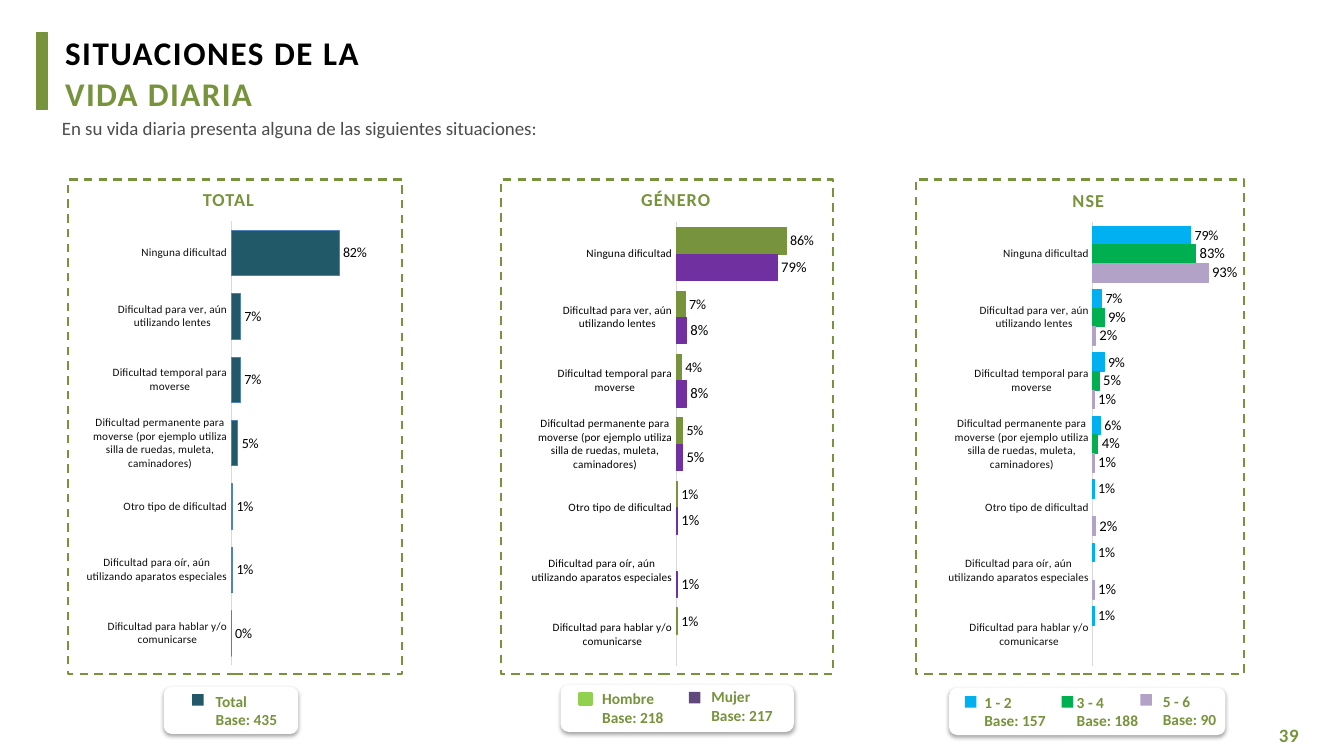
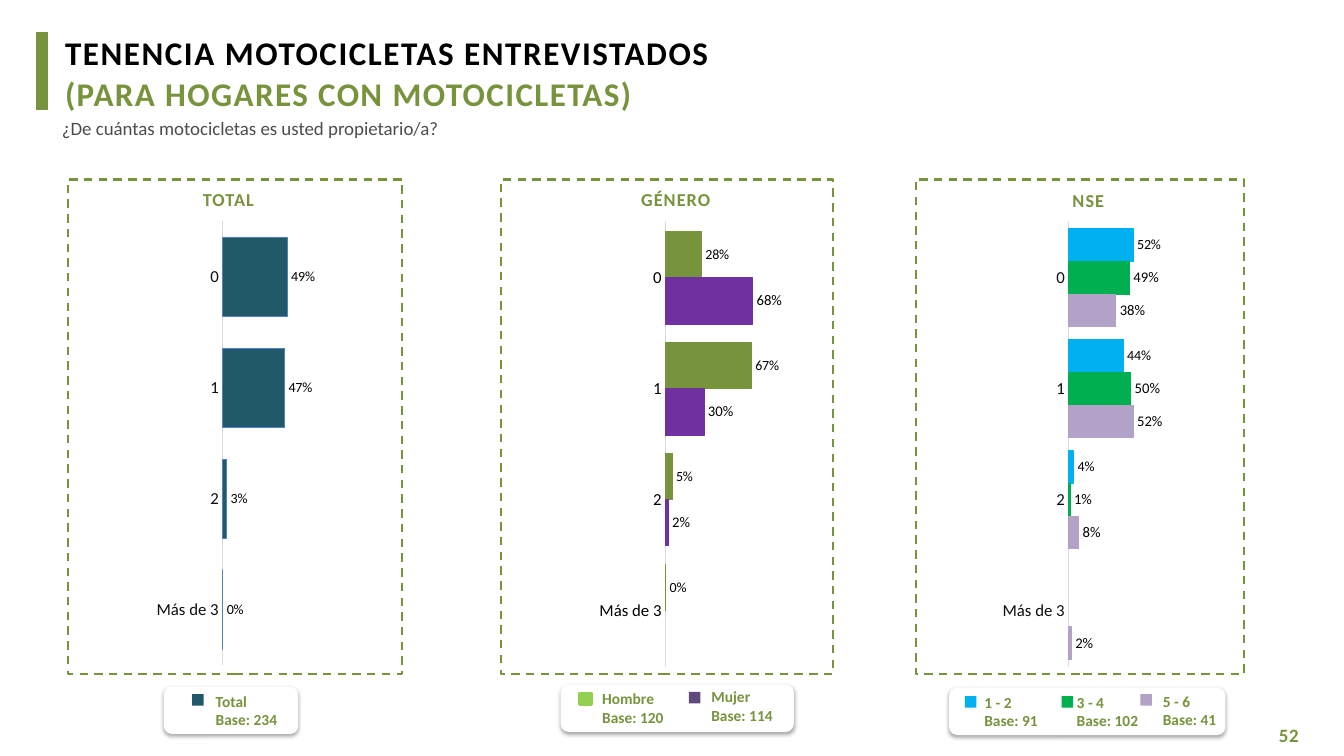
from dataclasses import dataclass
from typing import Optional

from lxml import etree
from pptx import Presentation
from pptx.chart.data import CategoryChartData
from pptx.dml.color import RGBColor
from pptx.enum.chart import XL_CHART_TYPE, XL_LABEL_POSITION, XL_TICK_MARK
from pptx.enum.dml import MSO_LINE
from pptx.enum.shapes import MSO_SHAPE
from pptx.enum.text import MSO_ANCHOR, MSO_AUTO_SIZE, PP_ALIGN
from pptx.oxml.ns import qn
from pptx.util import Emu, Pt

RECTANGLE = MSO_SHAPE.RECTANGLE
ROUNDED = MSO_SHAPE.ROUNDED_RECTANGLE
BAR_CLUSTERED = XL_CHART_TYPE.BAR_CLUSTERED
OUTSIDE_END = XL_LABEL_POSITION.OUTSIDE_END
NO_TICK = XL_TICK_MARK.NONE
DASH = MSO_LINE.DASH
LEFT, CENTER = PP_ALIGN.LEFT, PP_ALIGN.CENTER
TOP = MSO_ANCHOR.TOP
NO_AUTOFIT = MSO_AUTO_SIZE.NONE
EMU_PER_PX = 9525
TITLE_ONLY_LAYOUT = 5
PERCENT = "###0%"


@dataclass(frozen=True)
class Theme:
    font: str = "Calibri"
    green: str = "77933C"
    black: str = "000000"
    tick_text: str = "0D0D0D"
    gray: str = "4D4D4D"
    axis: str = "D9D9D9"
    white: str = "FFFFFF"
    teal: str = "215968"
    blue_outline: str = "4F81BD"
    lime: str = "92D050"
    violet: str = "604A7B"
    purple: str = "7030A0"
    sky: str = "00B0F0"
    emerald: str = "00B050"
    lilac: str = "B3A2C7"
    title_size: float = 23.6
    body_size: float = 13.5
    heading_size: float = 13
    legend_size: float = 11
    first_label_size: float = 10
    label_size: float = 10.5


THEME = Theme()


@dataclass(frozen=True)
class Box:
    """A rectangle in whole px."""
    left: int
    top: int
    width: int
    height: int

    def emu(self) -> tuple[Emu, ...]:
        return tuple(Emu(value * EMU_PER_PX)
                     for value in (self.left, self.top, self.width, self.height))


@dataclass(frozen=True)
class TextStyle:
    size: float
    color: str
    bold: bool = False
    spacing: int = 0  # hundredths of a point


@dataclass(frozen=True)
class Group:
    """One surveyed group: its bars and its legend entry."""
    name: str
    color: str
    key_left: int
    key_top: int
    label_left: int
    label_top: int
    outline: Optional[str] = None
    key_color: Optional[str] = None
    key_outline: float = 0


@dataclass(frozen=True)
class Panel:
    heading: str
    heading_box: Box
    frame: Box
    card: Box
    chart_top: int
    chart_width: int
    plot_left: float
    plot_width: float
    tick_color: str
    groups: tuple[Group, ...]


@dataclass(frozen=True)
class PanelData:
    chart_left: int
    bases: tuple[int, ...]
    percents: tuple[tuple[Optional[int], ...], ...]


@dataclass(frozen=True)
class SlideContent:
    title: tuple[str, str]
    question: str
    page: str
    categories: tuple[str, ...]
    tick_size: int
    panels: tuple[PanelData, ...]


TITLE_STYLES = (TextStyle(THEME.title_size, THEME.black, True, 110),
                TextStyle(THEME.title_size, THEME.green, True, 100))
QUESTION_STYLE = TextStyle(THEME.body_size, THEME.gray)
PAGE_STYLE = TextStyle(THEME.body_size, THEME.green, True, 60)
HEADING_STYLE = TextStyle(THEME.heading_size, THEME.green, True, 80)
LEGEND_STYLE = TextStyle(THEME.legend_size, THEME.green, True)

ACCENT_BOX = Box(35, 31, 10, 73)
TITLE_BOX = Box(62, 30, 715, 79)
QUESTION_BOX = Box(59, 110, 953, 23)
PAGE_BOX = Box(1218, 688, 47, 23)
KEY_SIZE = 11
LABEL_WIDTH, LABEL_HEIGHT = 84, 45
CHART_HEIGHT = 456
PLOT_TOP, PLOT_HEIGHT = 0.037, 0.927

PANELS = (
    Panel("TOTAL", Box(104, 178, 227, 22), Box(65, 171, 318, 471),
          Box(156, 654, 128, 45), 194, 330, 0.422, 0.38, THEME.tick_text,
          (Group("Total", THEME.teal, 183, 661, 196, 654,
                 outline=THEME.blue_outline),)),
    Panel("GÉNERO", Box(530, 178, 227, 22), Box(477, 171, 316, 471),
          Box(534, 652, 222, 45), 195, 324, 0.426, 0.376, THEME.black,
          (Group("Hombre", THEME.green, 552, 660, 564, 652,
                 key_color=THEME.lime, key_outline=2),
           Group("Mujer", THEME.purple, 656, 659, 668, 650,
                 key_color=THEME.violet))),
    Panel("NSE", Box(923, 179, 227, 22), Box(872, 171, 313, 471),
          Box(904, 655, 263, 45), 195, 324, 0.438, 0.364, THEME.tick_text,
          (Group("1 - 2", THEME.sky, 919, 663, 928, 655),
           Group("3 - 4", THEME.emerald, 1011, 663, 1016, 655),
           Group("5 - 6", THEME.lilac, 1086, 661, 1098, 654))),
)

SLIDES = (
    SlideContent(
        ("SITUACIONES DE LA", "VIDA DIARIA"),
        "En su vida diaria presenta alguna de las siguientes situaciones:", "39",
        ("Ninguna dificultad",
         "Dificultad para ver, aún utilizando lentes",
         "Dificultad temporal para moverse",
         "Dificultad permanente para moverse (por ejemplo utiliza silla de ruedas, "
         "muleta, caminadores)",
         "Otro tipo de dificultad",
         "Dificultad para oír, aún utilizando aparatos especiales",
         "Dificultad para hablar y/o comunicarse"), 8,
        (PanelData(81, (435,), ((82, 7, 7, 5, 1, 1, 0),)),
         PanelData(506, (218, 217), ((86, 7, 4, 5, 1, None, 1),
                                     (79, 8, 8, 5, 1, 1, None))),
         PanelData(899, (157, 188, 90), ((79, 7, 9, 6, 1, 1, 1),
                                         (83, 9, 5, 4, None, None, None),
                                         (93, 2, 1, 1, 2, 1, None))))),
    SlideContent(
        ("TENENCIA MOTOCICLETAS ENTREVISTADOS", "(PARA HOGARES CON MOTOCICLETAS)"),
        "¿De cuántas motocicletas es usted propietario/a?", "52",
        ("0", "1", "2", "Más de 3"), 12,
        (PanelData(73, (234,), ((49, 47, 3, 0),)),
         PanelData(496, (120, 114), ((28, 67, 5, 0), (68, 30, 2, None))),
         PanelData(876, (91, 102, 41), ((52, 44, 4, None), (49, 50, 1, None),
                                        (38, 52, 8, 2))))),
)


def rgb(color: str) -> RGBColor:
    return RGBColor.from_string(color)


def style_font(font, size: float, color: str, bold: bool = False) -> None:
    font.name, font.size, font.bold = THEME.font, Pt(size), bold
    font.color.rgb = rgb(color)


def write_text(shape, lines, align=LEFT, inset: bool = False,
               space_before: float = 0) -> None:
    """Fill a shape with one paragraph for each (text, style) pair."""
    frame = shape.text_frame
    frame.word_wrap, frame.auto_size = True, NO_AUTOFIT
    frame.vertical_anchor = TOP
    if not inset:
        frame.margin_left = frame.margin_right = frame.margin_bottom = 0
        frame.margin_top = Pt(1)
    for index, (text, style) in enumerate(lines):
        paragraph = frame.add_paragraph() if index else frame.paragraphs[0]
        paragraph.alignment = align
        if index:
            paragraph.space_before = Pt(space_before)
        run = paragraph.add_run()
        run.text = text
        style_font(run.font, style.size, style.color, style.bold)
        if style.spacing:
            run.font._element.set("spc", str(style.spacing))


def add_text(shapes, box: Box, lines, align=LEFT, inset: bool = False) -> None:
    write_text(shapes.add_textbox(*box.emu()), lines, align, inset)


def add_box(shapes, box: Box, fill: Optional[str] = None, line: Optional[str] = None,
            line_width: float = 0.75, kind=RECTANGLE):
    shape = shapes.add_shape(kind, *box.emu())
    shape.shadow.inherit = False
    if fill:
        shape.fill.solid()
        shape.fill.fore_color.rgb = rgb(fill)
    else:
        shape.fill.background()
    if line:
        shape.line.color.rgb = rgb(line)
        shape.line.width = Pt(line_width)
    else:
        shape.line.fill.background()
    return shape


def add_soft_shadow(shape) -> None:
    effects = shape._element.spPr.find(qn("a:effectLst"))
    shadow = etree.SubElement(effects, qn("a:outerShdw"), blurRad=str(Pt(3.1)),
                              dist=str(Pt(1.8)), dir="5400000", rotWithShape="0")
    color = etree.SubElement(shadow, qn("a:srgbClr"), val=THEME.black)
    etree.SubElement(color, qn("a:alpha"), val="35000")


def add_legend(slide, panel: Panel, data: PanelData) -> None:
    shapes = slide.shapes.add_group_shape().shapes
    add_soft_shadow(add_box(shapes, panel.card, THEME.white, kind=ROUNDED))
    for group, base in zip(panel.groups, data.bases):
        key_color = group.key_color or group.color
        add_box(shapes, Box(group.key_left, group.key_top, KEY_SIZE, KEY_SIZE),
                key_color, key_color if group.key_outline else None, group.key_outline)
        add_text(shapes, Box(group.label_left, group.label_top, LABEL_WIDTH, LABEL_HEIGHT),
                 ((group.name, LEGEND_STYLE), (f"Base: {base}", LEGEND_STYLE)), inset=True)


def place_plot(chart, panel: Panel) -> None:
    """Fix the inner plot area as fractions of the chart."""
    plot_area = chart._chartSpace.find(".//" + qn("c:plotArea"))
    for old_layout in plot_area.findall(qn("c:layout")):
        plot_area.remove(old_layout)
    layout = etree.Element(qn("c:layout"))
    manual = etree.SubElement(layout, qn("c:manualLayout"))
    settings = (("layoutTarget", "inner"), ("xMode", "edge"), ("yMode", "edge"),
                ("x", panel.plot_left), ("y", PLOT_TOP),
                ("w", panel.plot_width), ("h", PLOT_HEIGHT))
    for name, value in settings:
        etree.SubElement(manual, qn(f"c:{name}"), val=str(value))
    plot_area.insert(0, layout)


def add_bar_chart(slide, panel: Panel, data: PanelData, content: SlideContent) -> None:
    chart_data = CategoryChartData(number_format=PERCENT)
    chart_data.categories = content.categories
    for group, percents in zip(panel.groups, data.percents):
        chart_data.add_series(group.name, [None if percent is None else percent / 100
                                           for percent in percents])
    box = Box(data.chart_left, panel.chart_top, panel.chart_width, CHART_HEIGHT)
    chart = slide.shapes.add_chart(BAR_CLUSTERED, *box.emu(), chart_data).chart
    chart.has_title = chart.has_legend = False
    style_font(chart.font, THEME.first_label_size, THEME.black)
    place_plot(chart, panel)

    categories = chart.category_axis
    categories.reverse_order = True
    categories.has_major_gridlines = False
    categories.major_tick_mark = categories.minor_tick_mark = NO_TICK
    categories.format.line.color.rgb = rgb(THEME.axis)
    categories.format.line.width = Pt(0.75)
    style_font(categories.tick_labels.font, content.tick_size, panel.tick_color)
    values = chart.value_axis
    values.minimum_scale, values.maximum_scale = 0, 1
    values.has_major_gridlines = values.visible = False

    plot = chart.plots[0]
    plot.gap_width, plot.overlap, plot.vary_by_categories = 40, 0, False
    for index, (series, group) in enumerate(zip(plot.series, panel.groups)):
        series.format.fill.solid()
        series.format.fill.fore_color.rgb = rgb(group.color)
        series.format.line.color.rgb = rgb(group.outline or group.color)
        series.format.line.width = Pt(0.75)
        labels = series.data_labels
        labels.show_value, labels.position = True, OUTSIDE_END
        labels.number_format, labels.number_format_is_linked = PERCENT, False
        style_font(labels.font, THEME.label_size if index else THEME.first_label_size,
                   THEME.black)


def add_slide(presentation, content: SlideContent) -> None:
    slide = presentation.slides.add_slide(presentation.slide_layouts[TITLE_ONLY_LAYOUT])
    title = slide.shapes.title
    title.left, title.top, title.width, title.height = TITLE_BOX.emu()
    write_text(title, zip(content.title, TITLE_STYLES), space_before=0.7)
    add_box(slide.shapes, ACCENT_BOX, THEME.green, THEME.green)
    add_text(slide.shapes, QUESTION_BOX, ((content.question, QUESTION_STYLE),))
    add_text(slide.shapes, PAGE_BOX, ((content.page, PAGE_STYLE),))
    for panel, data in zip(PANELS, content.panels):
        frame = add_box(slide.shapes, panel.frame, line=THEME.green, line_width=1.5)
        frame.line.dash_style = DASH
        add_text(slide.shapes, panel.heading_box, ((panel.heading, HEADING_STYLE),), CENTER)
        add_legend(slide, panel, data)
        add_bar_chart(slide, panel, data, content)


def main() -> None:
    presentation = Presentation()
    presentation.slide_width = Emu(1280 * EMU_PER_PX)
    presentation.slide_height = Emu(720 * EMU_PER_PX)
    for content in SLIDES:
        add_slide(presentation, content)
    presentation.save("out.pptx")


if __name__ == "__main__":
    main()
